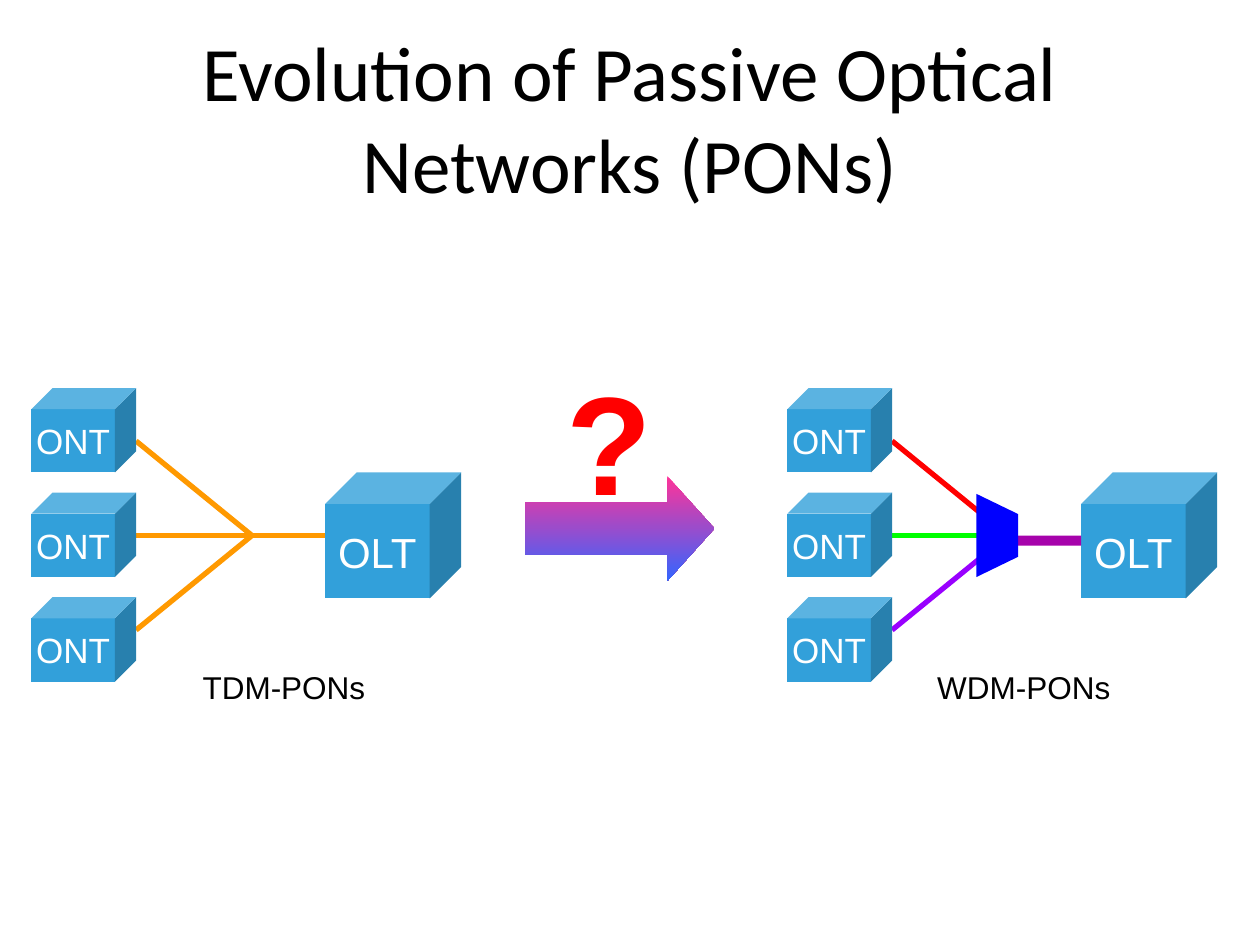
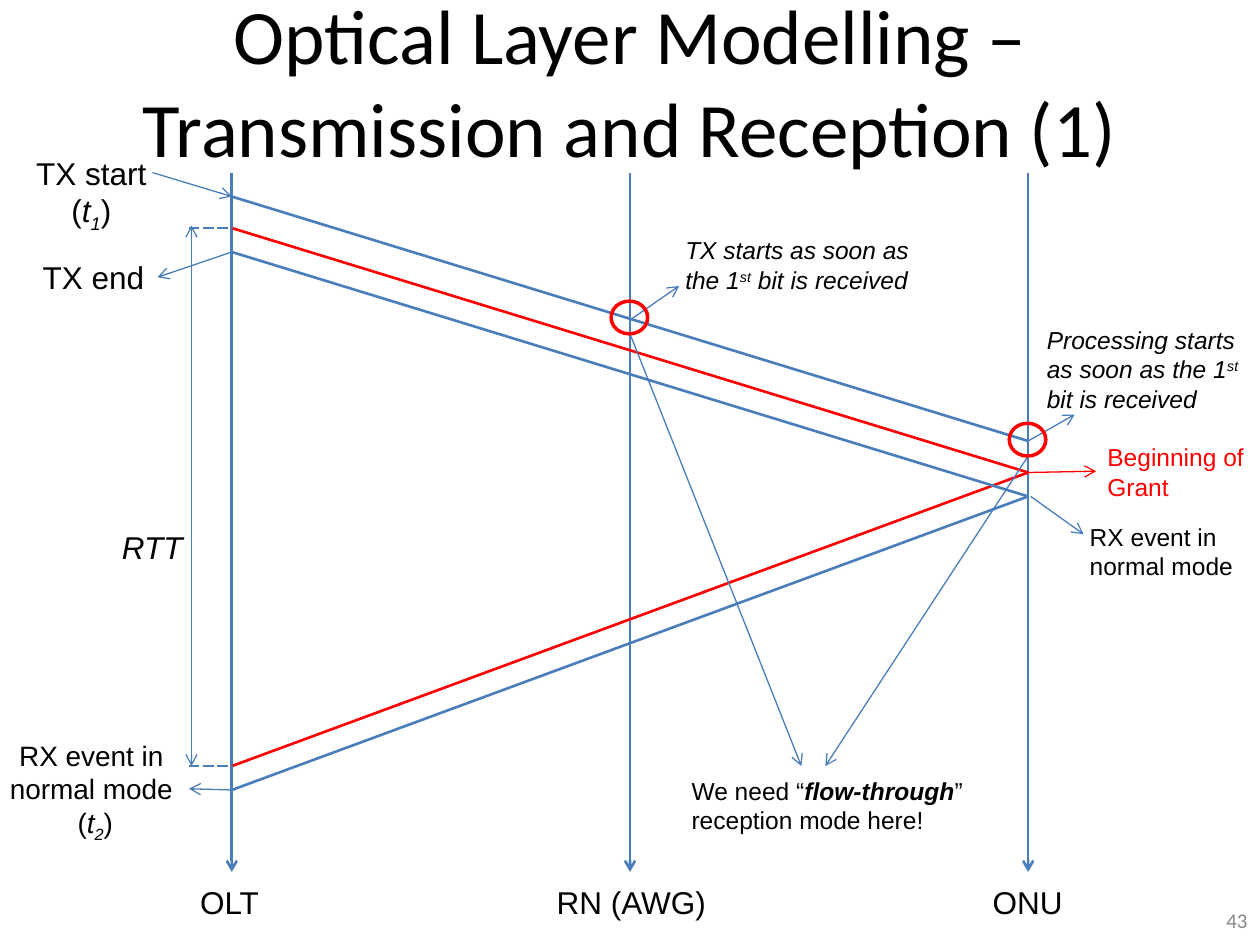
from lxml import etree
from pptx import Presentation
from pptx import util as u
from pptx.dml.color import RGBColor
from pptx.enum import dml, shapes, text
from pptx.oxml import ns

# Shared look
HUE = {"ink": "000000", "white": "FFFFFF", "grey": "898989", "cube": "32A0DA",
       "wire": "4A7EBB", "red": "FF0000", "amber": "FF9900", "lime": "00FF00",
       "violet": "9900FF", "plum": "A603AB", "blue": "0000FF",
       "pink": "FF3399", "sky": "3366FF"}
WIDE, HIGH = 10, 7.5
LEFT, MID, RIGHT = text.PP_ALIGN.LEFT, text.PP_ALIGN.CENTER, text.PP_ALIGN.RIGHT
STYLE = {"": {}, "b": {"bold": True}, "i": {"italic": True},
         "bi": {"bold": True, "italic": True}}
SHIFT = {"sub": "-25000", "sup": "30000"}
KIND = shapes.MSO_SHAPE

# Slide 1: two networks; left edge, branch colours, label box (offset, width)
NETS = [
    {"x": 0.25, "name": "TDM-PONs", "label": (1.26, 1.6),
     "hues": ("amber", "amber", "amber"), "mux": False},
    {"x": 6.25, "name": "WDM-PONs", "label": (1.09, 1.7),
     "hues": ("red", "lime", "violet"), "mux": True},
]
AXIS, HUB, OLT = 4.25, 1.75, 2.33   # centre line; offsets of hub and OLT
ONT = (0.83, 0.67)

# Slide 2: lifelines (axis, label left, label width), event times, signal delays
LIFE = {"OLT": (1.84, 1.49, 0.8), "RN (AWG)": (5, 4.32, 1.5),
        "ONU": (8.16, 7.78, 0.9)}
TX, RN, RX = (life[0] for life in LIFE.values())
TOP, END = 1.37, 6.92
START, GRANT, STOP = 1.56, 1.81, 2.0
DOWN, UP = 1.94, 2.33
HIT, SEEN, DONE = START + DOWN, GRANT + DOWN, STOP + DOWN
BACK, LAST = SEEN + UP, DONE + UP
SIGNALS = [(TX, START, RX, HIT, "wire"), (RX, SEEN, TX, BACK, "red"),
           (TX, GRANT, RX, SEEN, "red"), (TX, STOP, RX, DONE, "wire"),
           (RX, DONE, TX, LAST, "wire")]
POINTERS = [(1.21, TOP, TX, START, "wire"), (TX, STOP, 1.25, 2.2, "wire"),
            (TX, LAST, 1.5, 6.26, "wire"), (RX, HIT, 8.53, 3.29, "wire"),
            (RX + 0.02, DONE, 8.6, 4.24, "wire"), (RX, SEEN, 8.7, 3.74, "red"),
            (RN, 2.54, 5.39, 2.27, "wire"), (RN, 2.65, 6.36, BACK, "wire"),
            (RX, 3.62, 6.55, BACK, "wire")]
RINGS = [(RN, 2.52), (RX, 3.49)]
# box, parts (text, style, shift), size, further format
NOTES = [
    ((0.14, 1.17, 1.17, 0.74),
     [("TX start\n(",), ("t", "i"), ("1", "i", "sub"), (")",)], 18,
     {"align": MID}),
    ((0.24, 2, 1.1, 0.4), [("TX end",)], 18, {}),
    ((8.21, 2.53, 1.72, 0.8),
     [("Processing starts as soon as the 1", "i"), ("st", "i", "sup"),
      (" bit is received", "i")], 14, {}),
    ((8.55, 4.09, 1.45, 0.57), [("RX event in normal mode",)], 14, {}),
    ((8.69, 3.46, 1.31, 0.57), [("Beginning of Grant",)], 14, {"hue": "red"}),
    ((-0.05, 5.81, 1.55, 0.94),
     [("RX event in\nnormal mode\n (",), ("t", "i"), ("2", "i", "sub"), (")",)],
     16, {"align": MID}),
    ((5.34, 1.82, 2.09, 0.57),
     [("TX starts as soon as the 1", "i"), ("st", "i", "sup"),
      (" bit is received", "i")], 14, {}),
    ((5.39, 6.11, 2.62, 0.57),
     [("We need “",), ("flow-through", "bi"), ("” reception mode here!",)], 14, {}),
    ((0.87, 4.14, 0.8, 0.4), [("RTT", "i")], 18, {}),
]


def rgb(hue):
    return RGBColor.from_string(HUE[hue])


def inch(*vals):
    return [u.Inches(v) for v in vals]


def write(shape, parts, size, hue="ink", align=LEFT, wrap=True, face="Arial",
          anchor=text.MSO_ANCHOR.TOP):
    """Fill a shape with styled runs; a newline makes a line break."""
    frame = shape.text_frame
    form = {"word_wrap": wrap, "vertical_anchor": anchor,
            "auto_size": text.MSO_AUTO_SIZE.NONE}
    for key, val in form.items():
        setattr(frame, key, val)
    para = frame.paragraphs[0]
    para.alignment = align
    for words, style, shift in ((*p, "", "")[:3] for p in parts):
        for n, line in enumerate(words.split("\n")):
            if n:
                para.add_line_break()
            run = para.add_run()
            run.text = line
            look = {"size": u.Pt(size), "name": face, **STYLE[style]}
            for key, val in look.items():
                setattr(run.font, key, val)
            run.font.color.rgb = rgb(hue)
            if shift:
                run.font._element.set("baseline", SHIFT[shift])


def label(slide, box, parts, size, **form):
    write(slide.shapes.add_textbox(*inch(*box)), parts, size, **form)


def title(slide, words, top):
    label(slide, (0.05 * WIDE, top, 0.9 * WIDE, 1.25), [(words,)], 44, align=MID,
          face="Calibri", anchor=text.MSO_ANCHOR.MIDDLE)


def paint(shape, fill=None, line=None, width=1):
    shape.shadow.inherit = False
    if fill:
        shape.fill.solid()
        shape.fill.fore_color.rgb = rgb(fill)
    else:
        shape.fill.background()
    if line:
        shape.line.color.rgb = rgb(line)
        shape.line.width = u.Pt(width)
    else:
        shape.line.fill.background()
    return shape


def block(slide, kind, box, **look):
    return paint(slide.shapes.add_shape(kind, *inch(*box)), **look)


def wire(slide, x1, y1, x2, y2, hue, width, ends=(), dash=None):
    link = slide.shapes.add_connector(shapes.MSO_CONNECTOR.STRAIGHT,
                                      *inch(x1, y1, x2, y2))
    link.line.color.rgb = rgb(hue)
    link.line.width = u.Pt(width)
    if dash:
        link.line.dash_style = dash
    for end in ends:
        etree.SubElement(link.line._get_or_add_ln(), ns.qn("a:" + end), type="arrow")
    etree.SubElement(link._element.spPr, ns.qn("a:effectLst"))


def cube(slide, box, name, size):
    write(block(slide, KIND.CUBE, box, fill="cube"), [(name,)], size, hue="white",
          align=MID, wrap=False, anchor=text.MSO_ANCHOR.MIDDLE)


def network(slide, net):
    x, mux = net["x"], net["mux"]
    # Branches from the three ONTs to the hub
    for n, hue in enumerate(net["hues"]):
        reach = HUB if n != 1 else 1.5 if mux else OLT
        wire(slide, x + ONT[0], AXIS + 0.75 * (n - 1), x + reach, AXIS, hue, 3)
    # Nodes and caption
    shift, width = net["label"]
    label(slide, (x + shift, 5.25, width, 0.4), [(net["name"],)], 18)
    cube(slide, (x + OLT, 3.75, 1.08, 1), "OLT", 24)
    for n in range(3):
        cube(slide, (x, 3.08 + 0.83 * n, *ONT), "ONT", 20)
    # Trunk and multiplexer
    if mux:
        block(slide, KIND.RECTANGLE, (x + HUB, AXIS, 0.58, 0.08), fill="plum")
        pts = [inch(x + dx, AXIS + dy) for dx, dy in
               ((1.5, 0.33), (1.83, 0.17), (1.83, -0.17), (1.5, -0.33))]
        form = slide.shapes.build_freeform(*pts[0], scale=1.0)
        form.add_line_segments(pts[1:], close=True)
        paint(form.convert_to_shape(), fill="blue")


def evolution(slide):
    title(slide, "Evolution of Passive Optical Networks (PONs)", 0.3)
    for net in NETS:
        network(slide, net)
    # Arrow with question mark
    arrow = block(slide, KIND.RIGHT_ARROW, (4.17, 3.78, 1.5, 0.83))
    arrow.adjustments[1] = 0.45
    arrow.fill.gradient()
    arrow.fill.gradient_angle = 270
    for n, (stop, hue) in enumerate(zip(arrow.fill.gradient_stops, ("pink", "sky"))):
        stop.position = n
        stop.color.rgb = rgb(hue)
    label(slide, (4.17, 2.77, 1.33, 1.44), [("?", "b")], 80, hue="red", align=MID)


def timing(slide):
    title(slide, "Optical Layer Modelling – Transmission and Reception (1)", 0.01)
    label(slide, (7.67, 7.1, 2.33, 0.4), [("43",)], 12, hue="grey", align=RIGHT,
          face="Calibri", anchor=text.MSO_ANCHOR.MIDDLE)
    # Lifelines
    for name, (x, left, width) in LIFE.items():
        wire(slide, x, TOP, x, END, "wire", 1.5, ["tailEnd"])
        label(slide, (left, 6.96, width, 0.4), [(name,)], 18)
    # Signals, pointers and round-trip span
    for sig in SIGNALS:
        wire(slide, *sig, 1.5)
    for ptr in POINTERS:
        wire(slide, *ptr, 0.75, ["tailEnd"])
    wire(slide, 1.52, GRANT - 0.02, 1.52, BACK, "wire", 0.75, ["headEnd", "tailEnd"])
    for y in (GRANT, BACK):
        wire(slide, 1.5, y, TX, y, "wire", 0.75, dash=dml.MSO_LINE.LONG_DASH)
    # Rings and notes
    for x, y in RINGS:
        block(slide, KIND.OVAL, (x - 0.15, y - 0.13, 0.29, 0.26), line="red", width=2)
    for box, parts, size, form in NOTES:
        label(slide, box, parts, size, **form)


def main():
    deck = Presentation()
    deck.slide_width, deck.slide_height = inch(WIDE, HIGH)
    for draw in (evolution, timing):
        draw(deck.slides.add_slide(deck.slide_layouts[6]))
    deck.save("out.pptx")


if __name__ == "__main__":
    main()
